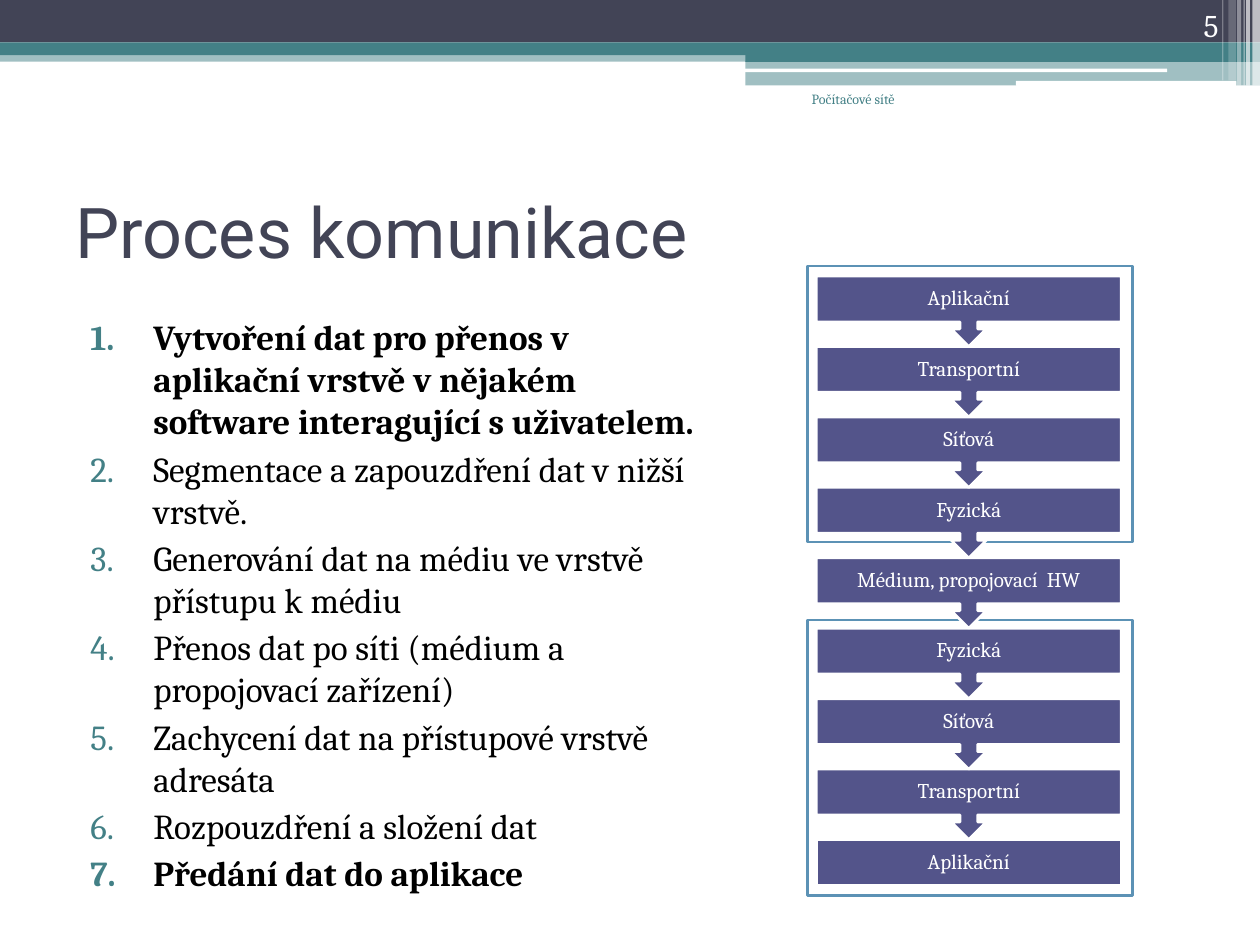
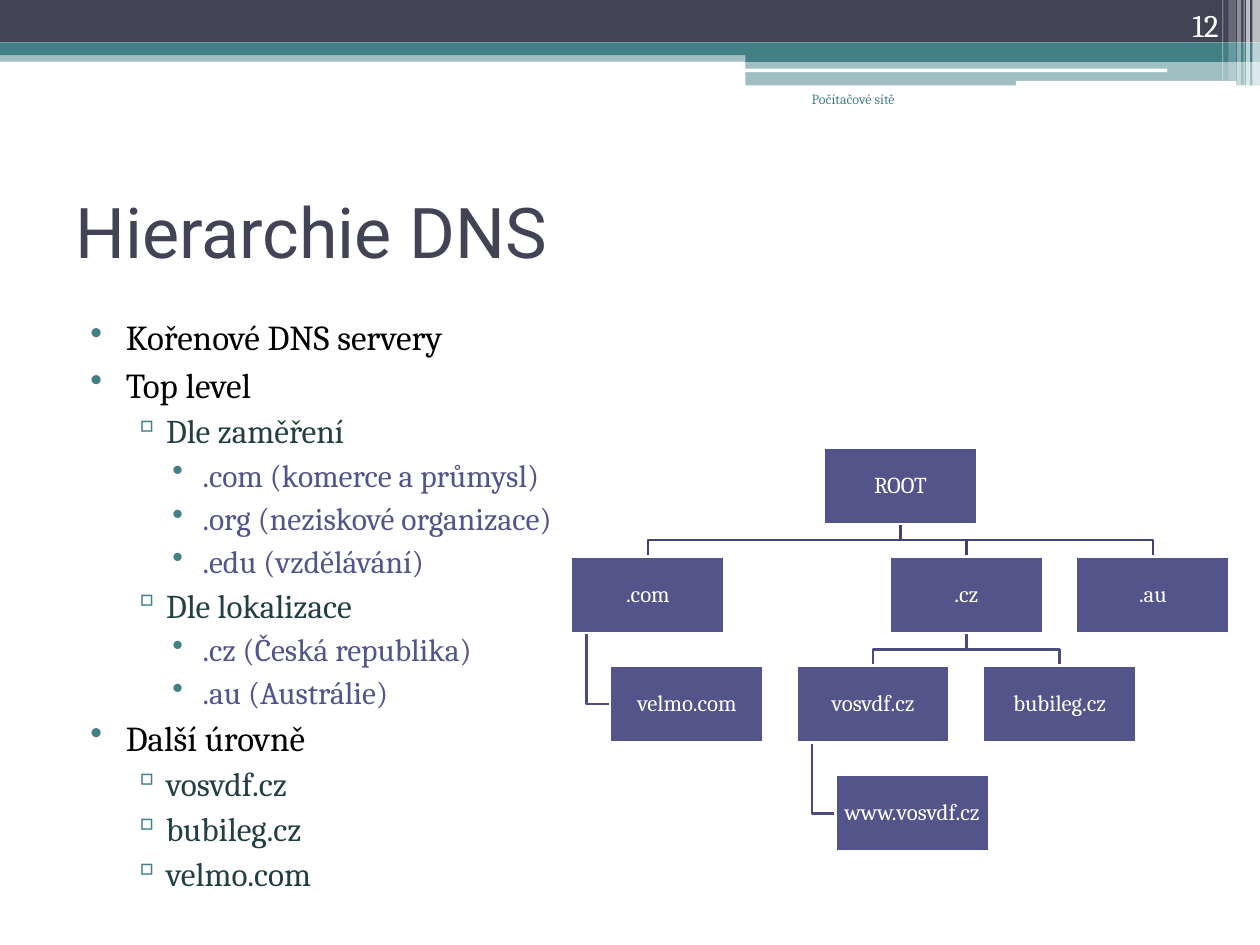
from lxml import etree
from pptx import Presentation
from pptx.dml.color import RGBColor
from pptx.enum.shapes import MSO_SHAPE
from pptx.enum.text import MSO_ANCHOR, PP_ALIGN
from pptx.oxml.ns import qn
from pptx.util import Pt

RECT, ROUND = MSO_SHAPE.RECTANGLE, MSO_SHAPE.ROUNDED_RECTANGLE
CALLOUT = MSO_SHAPE.DOWN_ARROW_CALLOUT
TOP, MIDDLE, BOTTOM = MSO_ANCHOR.TOP, MSO_ANCHOR.MIDDLE, MSO_ANCHOR.BOTTOM
LEFT, CENTER, RIGHT = PP_ALIGN.LEFT, PP_ALIGN.CENTER, PP_ALIGN.RIGHT

SERIF, SANS = "Cambria", "Roboto"
DARK, TEAL, PINE = "424456", "438086", "224043"
INDIGO, BLUE, WHITE, BLACK = "53548A", "5C92B5", "FFFFFF", "000000"
TRUNK, BRANCH = "42436F", "4B4C7D"

# kind, left, top, width, height, colour, opacity in percent
BANDS = [
    (RECT, 0, 28.8, 720, 6.5, TEAL, 50),
    (RECT, 0, 0, 720, 24.3, DARK, 100),
    (RECT, 0, 24.3, 720, 7.2, TEAL, 100),
    (RECT, 426, 28.2, 294, 7.2, TEAL, 100),
    (RECT, 426, 34.8, 294, 14, TEAL, 50),
    (ROUND, 425.5, 39.2, 241.5, 2, WHITE, 100),
    (ROUND, 580.5, 46.2, 126, 2.9, WHITE, 100),
]
# left, width, height, opacity in percent
STRIPES = [
    (715.7, 4.3, 49, 65), (712.1, 2.2, 49, 65), (710.6, 0.7, 49, 60),
    (707, 2.2, 49, 40), (702, 4.3, 46, 20), (698.4, 0.7, 46, 30),
]

# size, colour, left margin, indent, bullet
LEVELS = [
    (20, BLACK, 28.8, -20.2, "•"),
    (19, PINE, 51.8, -19.4, "▫"),
    (18, INDIGO, 72.7, -17.3, "•"),
]
STEP = (20, BLACK, 44.6, -36, None)

STEPS = [
    ("Vytvoření dat pro přenos v aplikační vrstvě v nějakém software "
     "interagující s uživatelem.", True),
    ("Segmentace a zapouzdření dat v nižší vrstvě.", False),
    ("Generování dat na médiu ve vrstvě přístupu k médiu", False),
    ("Přenos dat po síti (médium a propojovací zařízení)", False),
    ("Zachycení dat na přístupové vrstvě adresáta", False),
    ("Rozpouzdření a složení dat", False),
    ("Předání dat do aplikace", True),
]
STACK = ["Aplikační", "Transportní", "Síťová", "Fyzická"]
MEDIUM = "Médium, propojovací  HW"

DOMAINS = [
    ("Kořenové DNS servery", 0), ("Top level", 0),
    ("Dle zaměření", 1), (".com (komerce a průmysl)", 2),
    (".org (neziskové organizace)", 2), (".edu (vzdělávání)", 2),
    ("Dle lokalizace", 1), (".cz (Česká republika)", 2),
    (".au (Austrálie)", 2), ("Další úrovně", 0),
    ("vosvdf.cz", 1), ("bubileg.cz", 1), ("velmo.com", 1),
]


def tint(hue):
    return RGBColor.from_string(hue)


def style(para, size, hue, font=SERIF, bold=False, align=LEFT):
    para.alignment = align
    for run in para.runs:
        run.font.size, run.font.name, run.font.bold = Pt(size), font, bold
        run.font.color.rgb = tint(hue)


def shape(slide, kind, box, fill, line=None, alpha=100):
    item = slide.shapes.add_shape(kind, *map(Pt, box))
    item.shadow.inherit = False
    item.fill.solid()
    item.fill.fore_color.rgb = tint(fill)
    if alpha < 100:
        color = item.element.spPr.find(qn("a:solidFill"))[0]
        etree.SubElement(color, qn("a:alpha"), val=str(alpha * 1000))
    if line:
        item.line.color.rgb = tint(line)
        item.line.width = Pt(1.5)
    else:
        item.line.fill.background()
    return item


def label(slide, kind, box, text, size, inset):
    """Draw an indigo box with centred white text."""
    item = shape(slide, kind, box, INDIGO, WHITE)
    frame = item.text_frame
    frame.word_wrap, frame.vertical_anchor = True, MIDDLE
    frame.margin_left = frame.margin_right = Pt(inset)
    frame.margin_top = frame.margin_bottom = Pt(inset)
    frame.text = text
    frame.paragraphs[0].line_spacing = 0.9
    style(frame.paragraphs[0], size, WHITE, align=CENTER)


def area(slide, box, anchor=TOP):
    frame = slide.shapes.add_textbox(*map(Pt, box)).text_frame
    frame.word_wrap, frame.vertical_anchor = True, anchor
    return frame


def note(slide, box, text, size, hue, font=SERIF, anchor=TOP, align=LEFT):
    frame = area(slide, box, anchor)
    frame.text = text
    style(frame.paragraphs[0], size, hue, font, align=align)


def base(deck, title, number):
    """Add a slide with the shared bands, title, footer and number."""
    slide = deck.slides.add_slide(deck.slide_layouts[6])
    for kind, *box, hue, alpha in BANDS:
        shape(slide, kind, box, hue, alpha=alpha)
    for left, width, height, alpha in STRIPES:
        shape(slide, RECT, (left, 0, width, height), WHITE, alpha=alpha)
    note(slide, (36, 90, 648, 84), title, 40, DARK, SANS, MIDDLE)
    note(slide, (414, 48.2, 104.4, 36), "Počítačové sítě", 8, TEAL, align=RIGHT)
    note(slide, (643.7, 0, 59.8, 28.8), str(number), 18, WHITE,
         anchor=BOTTOM, align=RIGHT)
    return slide


def bullet(para, margin, indent, mark):
    """Set a hanging teal bullet, or a number when there is no mark."""
    props = para._p.get_or_add_pPr()
    props.set("marL", str(Pt(margin)))
    props.set("indent", str(Pt(indent)))
    color = etree.SubElement(props, qn("a:buClr"))
    etree.SubElement(color, qn("a:srgbClr"), val=TEAL)
    if mark:
        etree.SubElement(props, qn("a:buChar"), char=mark)
    else:
        etree.SubElement(props, qn("a:buAutoNum"), type="arabicPeriod")


def outline(slide, box, rows):
    """Fill the box with rows of text, look and weight."""
    frame = area(slide, box)
    for i, (text, look, bold) in enumerate(rows):
        para = frame.add_paragraph() if i else frame.paragraphs[0]
        size, hue, margin, indent, mark = look
        para.text = text
        para.space_before = Pt(3)
        style(para, size, hue, bold=bold)
        bullet(para, margin, indent, mark)


def flow(slide, box):
    """Stack the layers of sender, medium and receiver."""
    left, top, width, height = box
    group = 157.7
    for y in (top + height - group, top):
        shape(slide, RECT, (left, y, width, group), WHITE, BLUE)
    names = STACK + [MEDIUM] + STACK[::-1]
    pitch, last = 40.25, len(names) - 1
    for i in range(last, -1, -1):
        kind, tall = (RECT, 26.4) if i == last else (CALLOUT, pitch)
        spot = (left + 5.2, top + 5.8 + i * pitch, width - 11.6, tall)
        label(slide, kind, spot, names[i], 12, 6.5)


def elbow(slide, points, hue):
    (x, y), *rest = [(Pt(a), Pt(b)) for a, b in points]
    pen = slide.shapes.build_freeform(x, y)
    pen.add_line_segments(rest, close=False)
    line = pen.convert_to_shape()
    line.shadow.inherit = False
    line.fill.background()
    line.line.color.rgb = tint(hue)
    line.line.width = Pt(1.5)


def tree(slide, box):
    """Draw the domain tree: four levels, with only children hung to the side."""
    left, top, width, height = box
    wide, tall, hang = 87.8, 43.8, 22.3
    drop = (height - tall) / 3
    pitch = wide + 18.8
    edge = width - wide
    cz = edge - pitch
    site = cz - pitch / 2
    # name: offset, level, parent
    nodes = {
        "ROOT": (edge / 2, 0, None),
        ".com": (0, 1, "ROOT"),
        ".cz": (cz, 1, "ROOT"),
        ".au": (edge, 1, "ROOT"),
        "velmo.com": (hang, 2, ".com"),
        "vosvdf.cz": (site, 2, ".cz"),
        "bubileg.cz": (site + pitch, 2, ".cz"),
        "www.vosvdf.cz": (site + hang, 3, "vosvdf.cz"),
    }
    spots = {name: (left + x, top + level * drop)
             for name, (x, level, _) in nodes.items()}
    parents = [parent for _, _, parent in nodes.values()]
    for name, (_, level, parent) in nodes.items():
        if not parent:
            continue
        (x, y), (px, py) = spots[name], spots[parent]
        foot = py + tall
        if parents.count(parent) == 1:
            stem, mid = px + 9, y + tall / 2
            points = [(stem, foot), (stem, mid), (x, mid)]
        else:
            stem, end, mid = px + wide / 2, x + wide / 2, (foot + y) / 2
            points = [(stem, foot), (stem, mid), (end, mid), (end, y)]
        elbow(slide, points, TRUNK if level == 1 else BRANCH)
    for name, spot in spots.items():
        label(slide, RECT, (*spot, wide, tall), name, 13, 0.7)


def main():
    deck = Presentation()
    deck.slide_width, deck.slide_height = Pt(720), Pt(540)

    slide = base(deck, "Proces komunikace", 5)
    flow(slide, (461.3, 152, 185.8, 359.9))
    outline(slide, (36, 177, 380, 356.4),
            [(text, STEP, bold) for text, bold in STEPS])

    slide = base(deck, "Hierarchie DNS", 12)
    outline(slide, (36, 177, 318.2, 356.4),
            [(text, LEVELS[level], False) for text, level in DOMAINS])
    tree(slide, (326.3, 255.6, 376.4, 231))

    deck.save("out.pptx")


if __name__ == "__main__":
    main()
